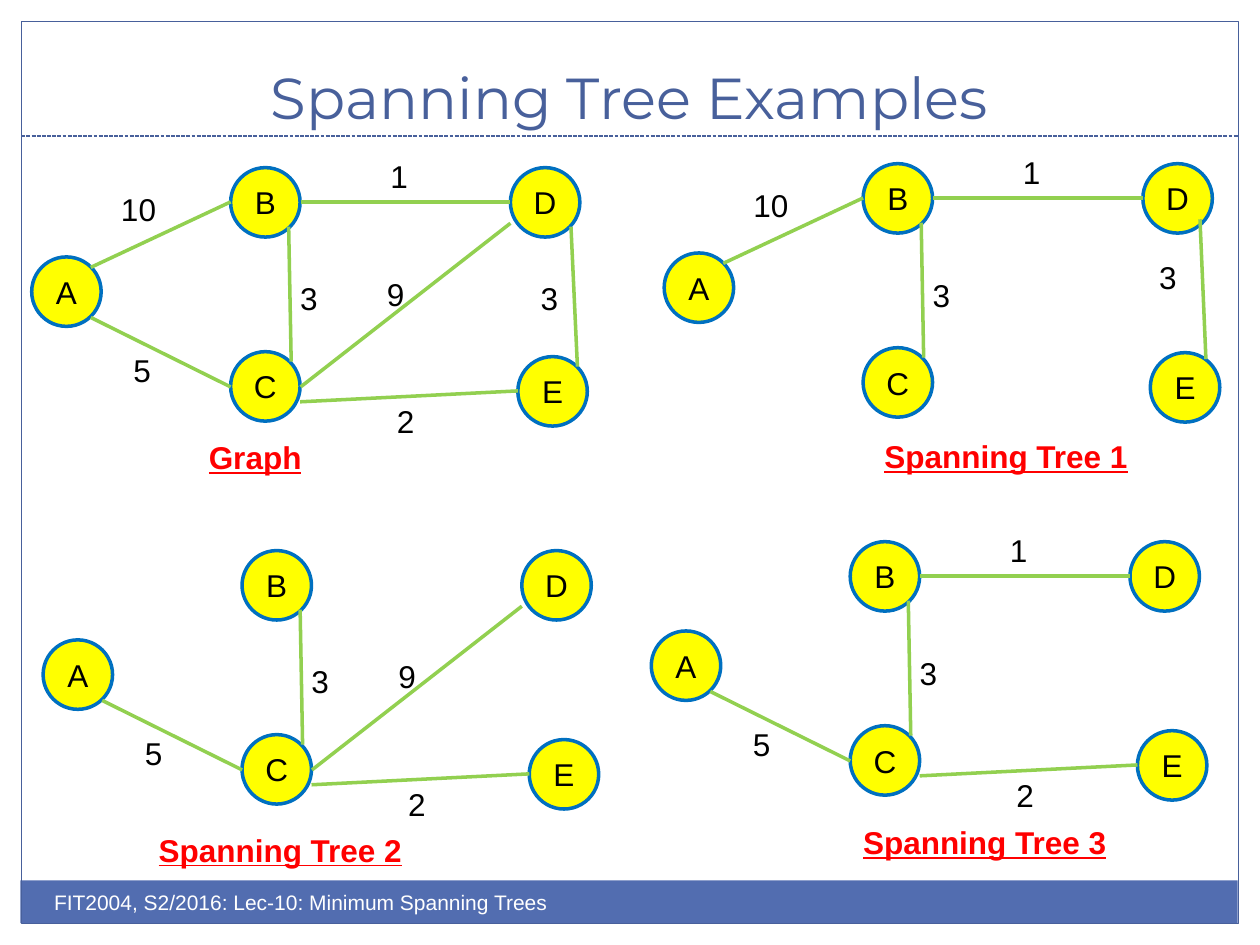
from lxml import etree
from pptx import Presentation
from pptx.dml.color import RGBColor
from pptx.enum.dml import MSO_LINE
from pptx.enum.shapes import MSO_CONNECTOR, MSO_SHAPE
from pptx.enum.text import MSO_ANCHOR, MSO_AUTO_SIZE, PP_ALIGN
from pptx.oxml.ns import qn
from pptx.util import Cm, Pt

WHITE = RGBColor(0xFF, 0xFF, 0xFF)
BLACK = RGBColor(0, 0, 0)
RED = RGBColor(0xFF, 0, 0)
YELLOW = RGBColor(0xFF, 0xFF, 0)
GREEN = RGBColor(0x92, 0xD0, 0x50)
BLUE = RGBColor(0, 0x70, 0xC0)
SLATE = RGBColor(0x48, 0x60, 0x9B)
BAR_BLUE = RGBColor(0x52, 0x6D, 0xB0)

NODE_SIZE = 1.4
LABEL_HEIGHT = 1.02

# Node corners, measured in cm from the corner of each graph
NODES = {"A": (0, 1.8), "B": (4.01, 0), "C": (4.01, 3.71),
         "D": (9.65, 0), "E": (9.8, 3.81)}

# Edge: start, end, weight, corner of the weight label
EDGES = {
    "AB": ((1.19, 2.01), (4.01, 0.69), "10", (1.55, 0.33)),
    "AC": ((1.19, 3.02), (4.01, 4.42), "5", (1.8, 3.58)),
    "BC": ((5.18, 1.19), (5.23, 3.91), "3", (5.16, 2.13)),
    "BD": ((5.42, 0.69), (9.65, 0.69), "1", (6.98, -0.33)),
    "CD": ((5.42, 4.42), (9.65, 1.12), "9", (6.91, 2.03)),
    "CE": ((5.41, 4.72), (9.8, 4.5), "2", (7.11, 4.6)),
    "DE": ((10.87, 1.19), (11, 4.01), "3", (10.01, 2.13)),
    "DE raised": ((10.8, 1.12), (10.92, 3.94), "3", (9.73, 1.78)),
}

# Graph: caption, caption corner and width, graph corner, edges
GRAPHS = [
    ("Graph", (3.96, 8.71), 2.6, (0.64, 3.38),
     ["AB", "AC", "BC", "BD", "CD", "CE", "DE"]),
    ("Spanning Tree 1", (17.58, 8.69), 5.46, (13.39, 3.3),
     ["AB", "BC", "BD", "DE raised"]),
    ("Spanning Tree 2", (2.95, 16.62), 5.46, (0.87, 11.1),
     ["AC", "BC", "CD", "CE"]),
    ("Spanning Tree 3", (17.15, 16.46), 5.46, (13.13, 10.92),
     ["AC", "BC", "BD", "CE"]),
]


class GraphSlide:
    """Draws on one slide in a single style; lengths are in cm."""

    def __init__(self, page):
        self.page = page

    def style_text(self, frame, text, size, color, font="Arial"):
        frame.text = text
        span = frame.paragraphs[0].runs[0]
        span.font.name = font
        span.font.size = Pt(size)
        span.font.color.rgb = color

    def text(self, corner, width, height, text, size, color, font="Arial"):
        box = self.page.shapes.add_textbox(
            Cm(corner[0]), Cm(corner[1]), Cm(width), Cm(height))
        box.text_frame.word_wrap = True
        self.style_text(box.text_frame, text, size, color, font)
        return box.text_frame

    def label(self, corner, width, text, color=BLACK):
        """Adds unwrapped text and returns its run."""
        frame = self.text(corner, width, LABEL_HEIGHT, text, 18, color)
        frame.word_wrap = False
        frame.auto_size = MSO_AUTO_SIZE.SHAPE_TO_FIT_TEXT
        return frame.paragraphs[0].runs[0]

    def caption(self, corner, width, text):
        span = self.label(corner, width, text, RED)
        span.font.bold = True
        span.font.underline = True

    def shape(self, kind, corner, width, height, fill=None, line=None, weight=0.75):
        shape = self.page.shapes.add_shape(
            kind, Cm(corner[0]), Cm(corner[1]), Cm(width), Cm(height))
        shape.shadow.inherit = False
        if fill is None:
            shape.fill.background()
        else:
            shape.fill.solid()
            shape.fill.fore_color.rgb = fill
        if line is None:
            shape.line.fill.background()
        else:
            shape.line.color.rgb = line
            shape.line.width = Pt(weight)
        return shape

    def node(self, corner, name):
        circle = self.shape(MSO_SHAPE.OVAL, corner, NODE_SIZE, NODE_SIZE,
                            YELLOW, BLUE, 2)
        frame = circle.text_frame
        frame.margin_left = frame.margin_right = 0
        frame.margin_top = frame.margin_bottom = 0
        frame.word_wrap = False
        frame.vertical_anchor = MSO_ANCHOR.MIDDLE
        self.style_text(frame, name, 18, BLACK)
        frame.paragraphs[0].alignment = PP_ALIGN.CENTER

    def line(self, start, end, color, weight, dash=None):
        line = self.page.shapes.add_connector(
            MSO_CONNECTOR.STRAIGHT, *(Cm(value) for value in (*start, *end)))
        line.line.color.rgb = color
        line.line.width = Pt(weight)
        if dash is not None:
            line.line.dash_style = dash
        etree.SubElement(line._element.spPr, qn("a:effectLst"))

    def graph(self, corner, edges):
        def place(point):
            return corner[0] + point[0], corner[1] + point[1]

        for name, point in NODES.items():
            self.node(place(point), name)
        for edge in edges:
            start, end, weight, label_corner = EDGES[edge]
            self.line(place(start), place(end), GREEN, 2)
            self.label(place(label_corner), 0.5 + 0.36 * len(weight), weight)

    def frame(self, title, footer):
        self.shape(MSO_SHAPE.RECTANGLE, (0.41, 17.75), 24.54, 0.86, BAR_BLUE)
        self.shape(MSO_SHAPE.RECTANGLE, (0.43, 0.43), 24.54, 18.19, line=SLATE)
        self.line((0.43, 2.74), (24.97, 2.74), SLATE, 0.75, MSO_LINE.SQUARE_DOT)
        heading = self.text((0.84, 0.64), 23.7, 2.1, title, 33, SLATE, "Montserrat")
        heading.vertical_anchor = MSO_ANCHOR.BOTTOM
        heading.margin_bottom = Cm(0.1)
        heading.paragraphs[0].alignment = PP_ALIGN.CENTER
        self.text((0.84, 17.81), 12.7, LABEL_HEIGHT, footer, 12, WHITE)


def main():
    deck = Presentation()
    deck.slide_width, deck.slide_height = Cm(25.4), Cm(19.05)
    slide = GraphSlide(deck.slides.add_slide(deck.slide_layouts[6]))
    slide.frame("Spanning Tree Examples",
                "FIT2004, S2/2016: Lec-10: Minimum Spanning Trees")
    for caption, caption_corner, width, corner, edges in GRAPHS:
        slide.graph(corner, edges)
        slide.caption(caption_corner, width, caption)
    deck.save("out.pptx")


if __name__ == "__main__":
    main()
